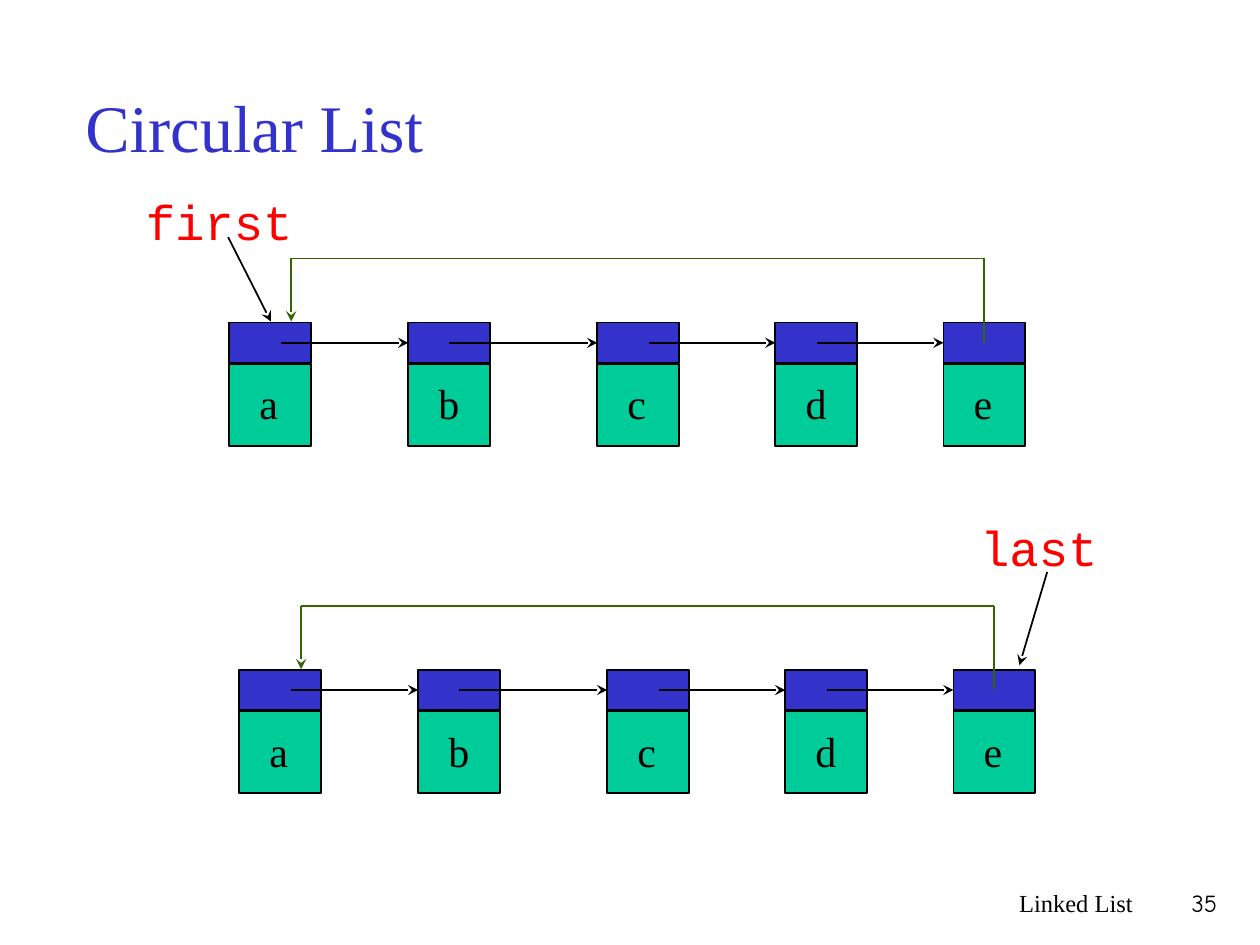
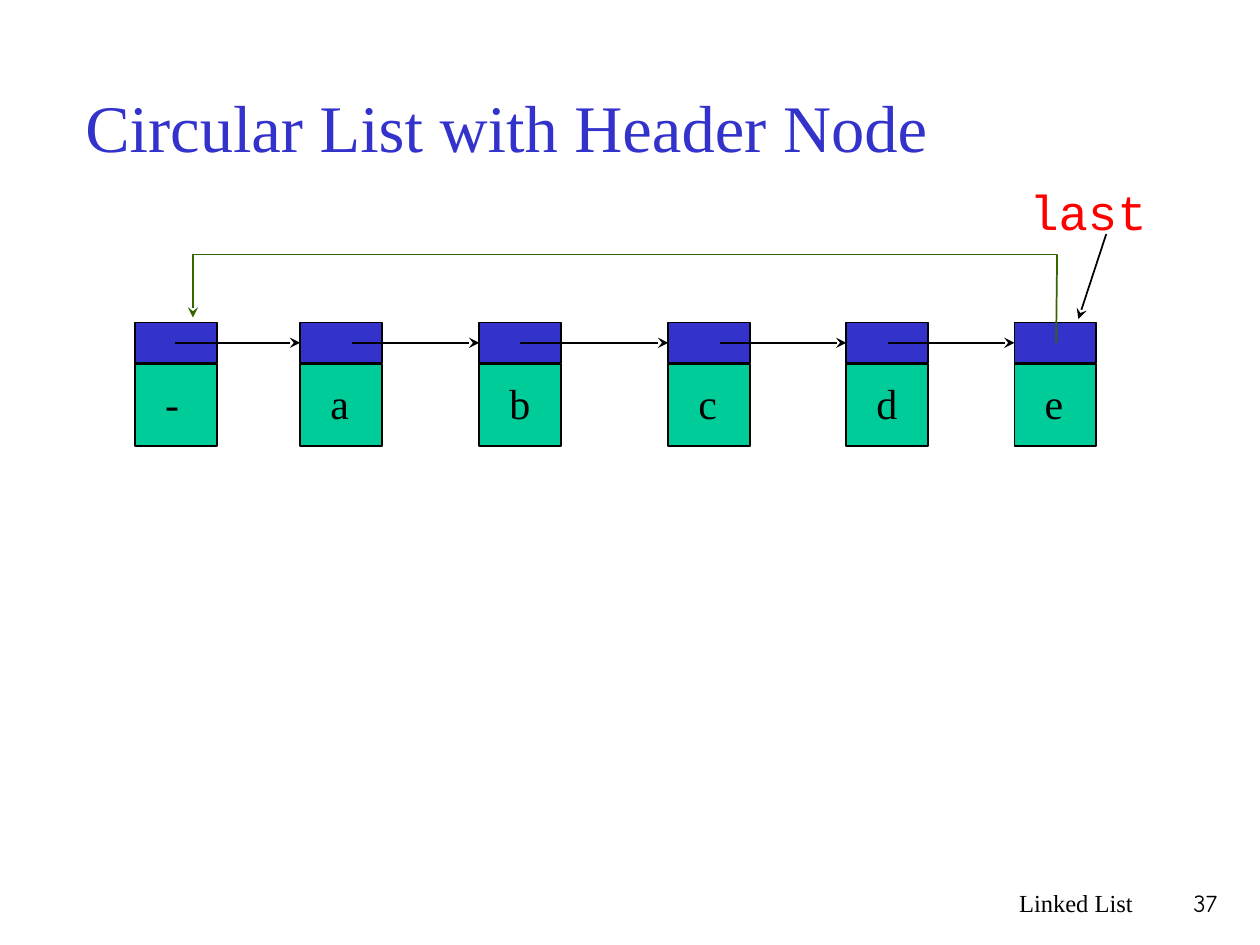
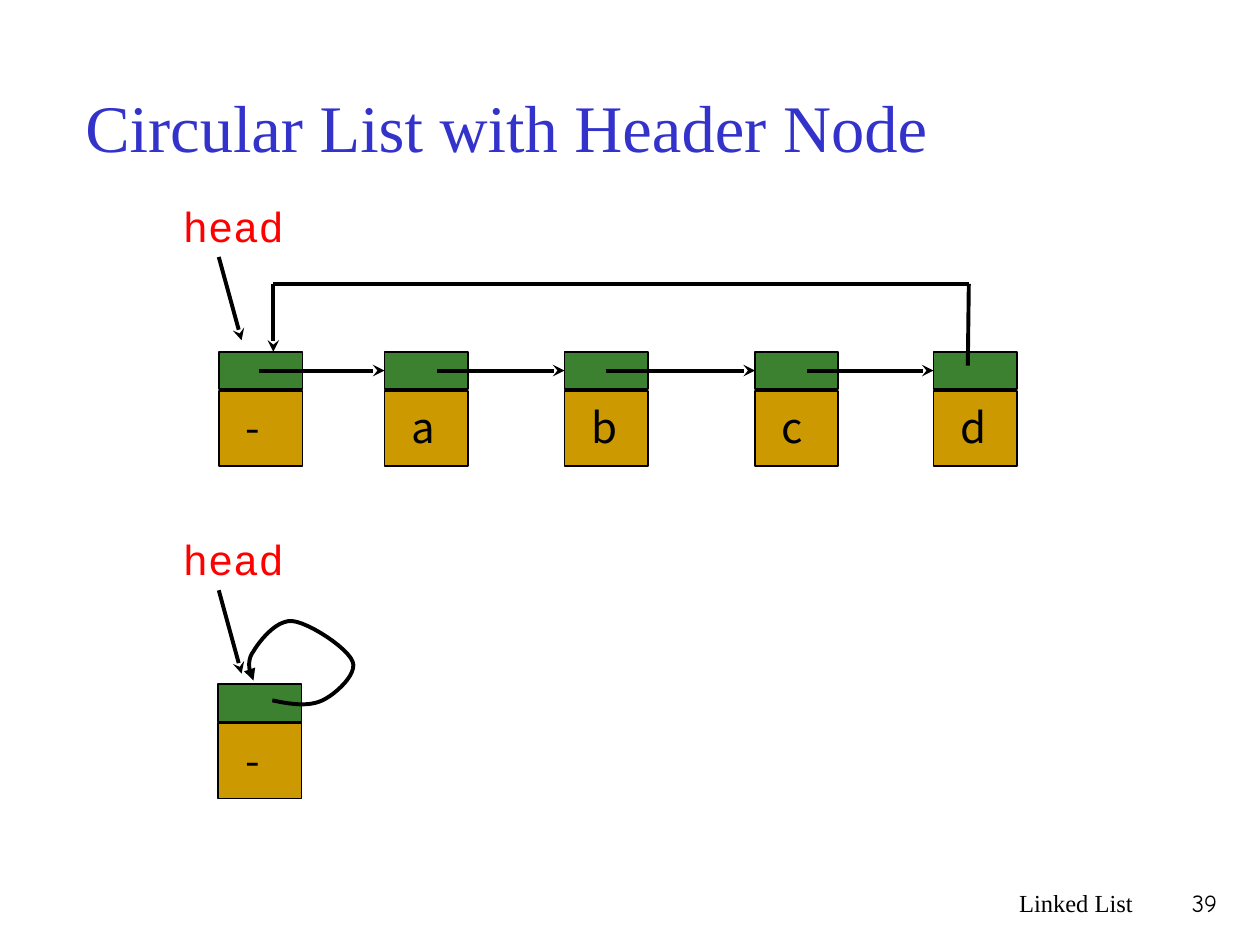
from collections import namedtuple

from lxml import etree
from pptx import Presentation
from pptx import util as u
from pptx.dml.color import RGBColor
from pptx.enum import shapes, text
from pptx.oxml import ns

SERIF, MONO, SANS, COMIC = "Times New Roman", "Courier New", "Noto Sans CJK KR", "Comic Neue"
BLACK, RED, BLUE, TEAL = "000000", "FF0000", "3333CC", "00CC99"
GREEN, LEAF, GOLD = "336600", "3B812F", "CC9900"

Style = namedtuple("Style", "font link_fill data_fill loop weight width link_h data_h "
                            "data_dy text_dy arrow_dy label_size label_h inset")
Node = namedtuple("Node", "name dx arrow_dx")

TEAL_STYLE = Style(SERIF, BLUE, TEAL, GREEN, 1, 1.65, 0.82, 1.65,
                   0.84, 0.99, 0.41, 28, 1.45, (0.25, 0.13))
GOLD_STYLE = Style(SANS, LEAF, GOLD, BLACK, 2.25, 1.68, 0.76, 1.52,
                   0.79, 0.91, 0.38, 24, 1.68, (0.18, 0.1))

HEADER = Node("-", -3.33, 0.81)
LETTERS = [Node("a", 0, 1.05), Node("b", 3.61, 0.83), Node("c", 7.42, 1.05),
           Node("d", 11.01, 0.84), Node("e", 14.4, 0)]
WIDE_LETTERS = [Node("a", 0, 1.06), Node("b", 3.63, 0.83), Node("c", 7.47, 1.05),
                Node("d", 11.07, 0)]

SELF_LOOP = [(5.49, 14.12),
             (5.87, 14.2), (6.22, 14.25), (6.5, 14.12),
             (6.76, 14), (7.21, 13.59), (7.11, 13.34),
             (7.01, 13.06), (6.22, 12.55), (5.89, 12.52),
             (5.56, 12.5), (5.23, 12.93), (5.11, 13.13),
             (4.95, 13.34), (5.05, 13.61), (5.11, 13.72)]


def rgb(color):
    """Return a colour object for a hex string."""
    return RGBColor.from_string(color)


def bezier(p0, p1, p2, p3, t):
    """Return the point at t on a cubic curve."""
    s = 1 - t
    return [s**3 * a + 3 * s * s * t * b + 3 * s * t * t * c + t**3 * d
            for a, b, c, d in zip(p0, p1, p2, p3)]


class Deck:
    """Hold the style and the current slide; lengths are centimetres."""

    def __init__(self):
        """Start an empty 4:3 presentation."""
        self.prs = Presentation()
        self.prs.slide_width, self.prs.slide_height = u.Cm(25.4), u.Cm(19.05)
        self.s = self.style = None

    def slide(self, title, number, style):
        """Add a slide with its title and footer."""
        self.style = style
        self.s = self.prs.slides.add_slide(self.prs.slide_layouts[6])
        self.text(title, (1.47, 0.64, 21.59, 3.81), 38, SERIF, BLUE,
                  anchor=text.MSO_ANCHOR.MIDDLE)
        for words, left, width, font in (("Linked List", 15.04, 8.05, SERIF),
                                         (str(number), 23.06, 1.73, COMIC)):
            self.text(words, (left, 17.78, width, 1.27), 14, font,
                      align=text.PP_ALIGN.RIGHT)

    def text(self, words, box, size, font, color=BLACK, align=text.PP_ALIGN.LEFT,
             anchor=text.MSO_ANCHOR.TOP, wrap=True, inset=(0.25, 0.13)):
        """Add a text box with one paragraph."""
        tf = self.s.shapes.add_textbox(*map(u.Cm, box)).text_frame
        tf.word_wrap, tf.vertical_anchor = wrap, anchor
        tf.margin_left = tf.margin_right = u.Cm(inset[0])
        tf.margin_top = tf.margin_bottom = u.Cm(inset[1])
        p = tf.paragraphs[0]
        p.text, p.alignment = words, align
        p.font.size, p.font.name = u.Pt(size), font
        p.font.color.rgb = rgb(color)

    def rect(self, left, top, width, height, fill):
        """Add an outlined rectangle."""
        sp = self.s.shapes.add_shape(shapes.MSO_SHAPE.RECTANGLE,
                                     *map(u.Cm, (left, top, width, height)))
        sp.shadow.inherit = False
        sp.fill.solid()
        sp.fill.fore_color.rgb = rgb(fill)
        self.stroke(sp.line, BLACK, 1)

    def stroke(self, line, color, weight, arrow=None):
        """Set a line's colour, weight and end arrowhead."""
        line.color.rgb = rgb(color)
        line.width = u.Pt(weight)
        if arrow:
            etree.SubElement(line._get_or_add_ln(), ns.qn("a:tailEnd"), type=arrow)

    def line(self, start, end, color=BLACK, arrow="stealth"):
        """Add a straight connector."""
        c = self.s.shapes.add_connector(shapes.MSO_CONNECTOR.STRAIGHT,
                                        *map(u.Cm, (*start, *end)))
        self.stroke(c.line, color, self.style.weight, arrow)
        etree.SubElement(c._element.spPr, ns.qn("a:effectLst"))

    def curve(self, points):
        """Add an open curve through cubic segments, ending in an arrowhead."""
        steps = 12
        dots = [bezier(*points[i:i + 4], k / steps)
                for i in range(0, len(points) - 1, 3) for k in range(1, steps + 1)]
        fb = self.s.shapes.build_freeform(*map(u.Cm, points[0]))
        fb.add_line_segments([(u.Cm(x), u.Cm(y)) for x, y in dots], close=False)
        sp = fb.convert_to_shape()
        sp.shadow.inherit = False
        sp.fill.background()
        self.stroke(sp.line, BLACK, self.style.weight, "triangle")

    def node(self, name, left, top):
        """Add a list node: link field, data field and its value."""
        st = self.style
        self.rect(left, top + st.data_dy, st.width, st.data_h, st.data_fill)
        self.rect(left, top, st.width, st.link_h, st.link_fill)
        self.text(name, (left + 0.36, top + st.text_dy, 0.9, 1.25), 24, st.font,
                  wrap=False, inset=st.inset)

    def chain(self, nodes, left, top):
        """Add nodes and the arrows from each to the next."""
        y = top + self.style.arrow_dy
        for n in nodes:
            self.node(n.name, left + n.dx, top)
        for n, following in zip(nodes, nodes[1:]):
            self.line((left + n.dx + n.arrow_dx, y), (left + following.dx, y))

    def loop(self, *points):
        """Add the link that runs from the last node back to the first."""
        last = len(points) - 2
        for i, ends in enumerate(zip(points, points[1:])):
            self.line(*ends, self.style.loop, "stealth" if i == last else None)

    def pointer(self, name, left, top, width, start, end):
        """Add a variable name and its arrow."""
        st = self.style
        self.text(name, (left, top, width, st.label_h), st.label_size, MONO, RED,
                  inset=st.inset)
        self.line(start, end)


def main():
    """Build the three slides."""
    d = Deck()

    d.slide("Circular List", 35, TEAL_STYLE)
    d.chain(LETTERS, 4.62, 6.5)
    d.pointer("first", 2.69, 3.73, 4.65, (4.6, 4.78), (5.46, 6.48))
    d.loop((19.84, 6.91), (19.84, 5.21), (5.87, 5.21), (5.87, 6.48))
    d.chain(LETTERS, 4.82, 13.5)
    d.pointer("last", 19.51, 10.31, 3, (21.11, 11.53), (20.55, 13.41))
    d.loop((20.04, 13.89), (20.04, 12.22), (6.07, 12.22), (6.07, 13.49))

    d.slide("Circular List with Header Node", 37, TEAL_STYLE)
    d.chain([HEADER] + LETTERS, 6.05, 6.5)
    d.pointer("last", 20.5, 3.53, 3.61, (22.3, 4.72), (21.74, 6.43))
    d.loop((21.29, 6.91), (21.31, 5.13), (3.89, 5.13), (3.89, 6.4))

    d.slide("Circular List with Header Node", 39, GOLD_STYLE)
    d.chain([HEADER] + WIDE_LETTERS, 7.75, 7.09)
    d.loop((19.51, 7.37), (19.53, 5.72), (5.51, 5.72), (5.51, 7.09))
    d.node("-", 4.4, 13.79)
    d.curve(SELF_LOOP)
    for dy in (0, 6.72):
        d.pointer("head", 3.51, 3.94 + dy, 3.63, (4.41, 5.18 + dy), (4.87, 6.86 + dy))

    d.prs.save("out.pptx")


if __name__ == "__main__":
    main()
